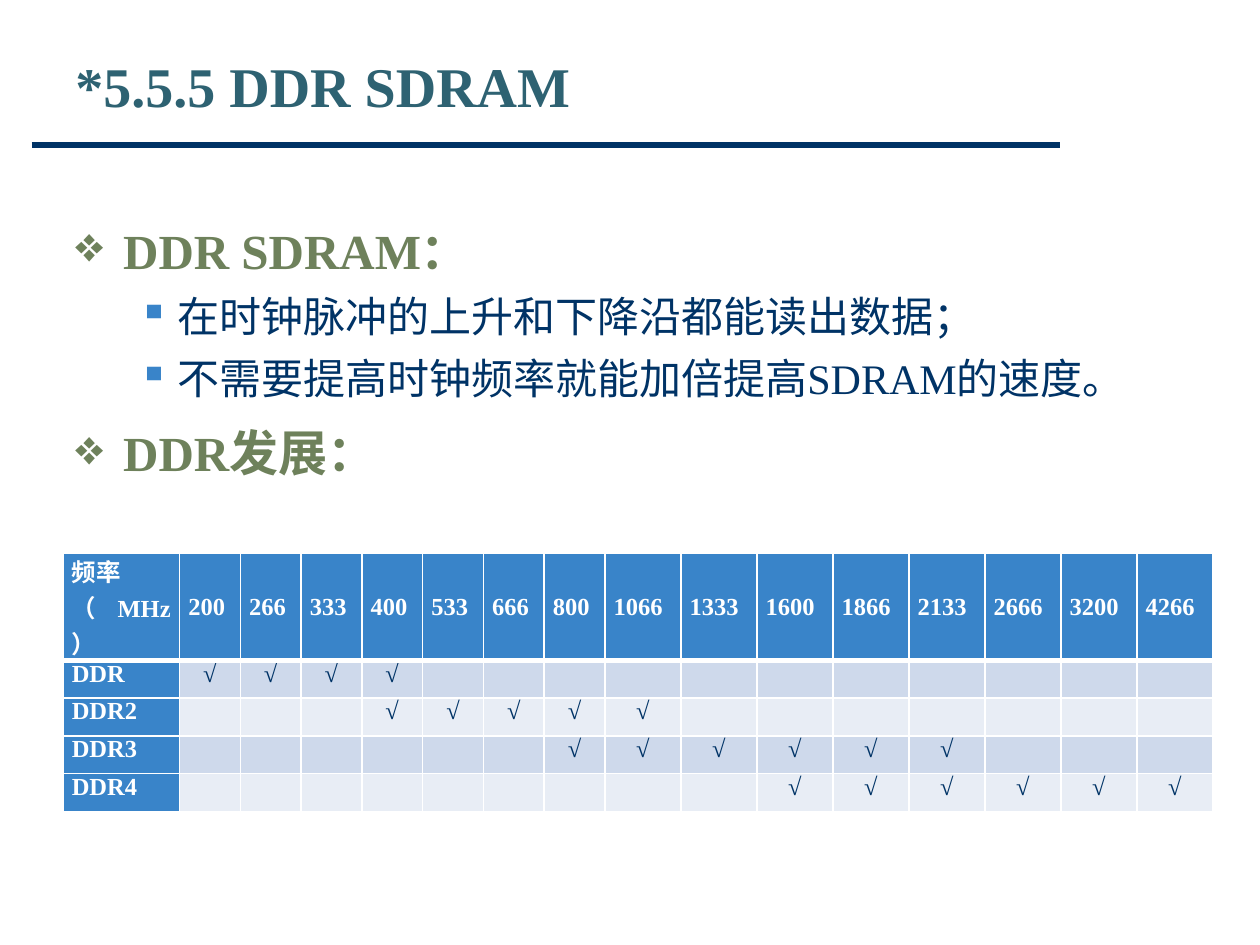
from lxml import etree
from pptx import Presentation
from pptx.dml.color import RGBColor
from pptx.enum.shapes import MSO_CONNECTOR
from pptx.enum.text import MSO_ANCHOR, PP_ALIGN
from pptx.oxml.ns import qn
from pptx.util import Inches, Pt

LEFT, CENTER, FULL = PP_ALIGN.LEFT, PP_ALIGN.CENTER, PP_ALIGN.JUSTIFY
TOP, MIDDLE = MSO_ANCHOR.TOP, MSO_ANCHOR.MIDDLE
STRAIGHT = MSO_CONNECTOR.STRAIGHT

# Content
TITLE = "*5.5.5 DDR SDRAM"
POINTS = [  # style, space before, text
    ("head", 0, "DDR SDRAM："),
    ("item", 9.6, "在时钟脉冲的上升和下降沿都能读出数据；"),
    ("item", 9.6, "不需要提高时钟频率就能加倍提高SDRAM的速度。"),
    ("head", 14.4, "DDR发展："),
]
CORNER = ["频率", "（MHz）"]
RATES = [200, 266, 333, 400, 533, 666, 800, 1066,
         1333, 1600, 1866, 2133, 2666, 3200, 4266]
TYPES = {  # lowest and highest rate
    "DDR": (200, 400),
    "DDR2": (400, 1066),
    "DDR3": (800, 2133),
    "DDR4": (1600, 4266),
}

THEME = {
    "font": "Times New Roman",
    "title": {"size": 32, "color": "2E6272", "bold": True},
    "head": {"size": 28, "color": "6E815B", "bold": True},
    "item": {"size": 24, "color": "003366"},
    "label": {"size": 14, "color": "FFFFFF", "bold": True, "align": FULL},
    "tick": {"size": 14, "color": "003366", "align": CENTER},
    "rule": "003366",
    "blue": "3984C9",
    "bands": ["CED9EB", "E8EDF5"],
    "grid": "FFFFFF",
}
BULLETS = {  # sign, colour, text indent, hang
    "head": ("❖", "6E815B", 0.38, 0.38),
    "item": ("▪", "3984C9", 0.81, 0.31),
}


def rgb(code):
    return RGBColor.from_string(code)


def add_text(frame, text, size=14, color="003366", bold=False, align=LEFT,
             before=0, line=1.0):
    """Fill the first empty paragraph, or append a new one."""
    para = frame.paragraphs[-1]
    if para.runs:
        para = frame.add_paragraph()
    para.alignment = align
    para.space_before = Pt(before)
    para.line_spacing = line
    run = para.add_run()
    run.text = text
    font = run.font
    font.name, font.size, font.bold = THEME["font"], Pt(size), bold
    font.color.rgb = rgb(color)
    return para


def add_box(slide, left, top, wide, high, inset=0.05):
    frame = slide.shapes.add_textbox(
        Inches(left), Inches(top), Inches(wide), Inches(high)).text_frame
    frame.word_wrap = True
    frame.margin_top = Inches(inset)
    return frame


def add_color(node, code):
    etree.SubElement(node, qn("a:srgbClr"), val=code)


def add_bullet(para, sign, color, indent, hang):
    props = para._p.get_or_add_pPr()
    props.set("marL", str(Inches(indent)))
    props.set("indent", str(-Inches(hang)))
    add_color(etree.SubElement(props, qn("a:buClr")), color)
    etree.SubElement(props, qn("a:buChar"), char=sign)


def style_cell(cell, fill, top=1, bottom=1, anchor=TOP):
    cell.margin_left = cell.margin_right = Inches(0.07)
    cell.margin_top = cell.margin_bottom = 0
    cell.vertical_anchor = anchor
    props = cell._tc.get_or_add_tcPr()
    for side, width in (("L", 1), ("R", 1), ("T", top), ("B", bottom)):
        edge = etree.SubElement(props, qn("a:ln" + side), w=str(Pt(width)))
        add_color(etree.SubElement(edge, qn("a:solidFill")), THEME["grid"])
    cell.fill.solid()
    cell.fill.fore_color.rgb = rgb(fill)


def add_rule(slide):
    rule = slide.shapes.add_connector(
        STRAIGHT, Inches(0.25), Inches(1.15), Inches(8.41), Inches(1.15))
    rule.line.color.rgb = rgb(THEME["rule"])
    rule.line.width = Pt(3)
    etree.SubElement(rule._element.spPr, qn("a:effectLst"))


def add_grid(slide):
    wide, high = 9.13, 0.3
    table = slide.shapes.add_table(
        len(TYPES) + 1, len(RATES) + 1, Inches(0.5), Inches(4.39),
        Inches(wide), Inches(0.85 + high * len(TYPES))).table

    # Columns: three-digit rates are narrower than four-digit ones
    parts = [0.92] + [0.48 if rate < 1000 else 0.6 for rate in RATES]
    for col, part in zip(table.columns, parts):
        col.width = Inches(wide * part / sum(parts))
    for num, row in enumerate(table.rows):
        row.height = Inches(high if num else 0.85)

    # Header row
    for col, label in enumerate([CORNER] + [[str(rate)] for rate in RATES]):
        cell = table.cell(0, col)
        style_cell(cell, THEME["blue"], bottom=3,
                   anchor=MIDDLE if col else TOP)
        for text in label:
            add_text(cell.text_frame, text, **THEME["label"])

    # One row for each memory type
    for row, (name, (low, top)) in enumerate(TYPES.items(), 1):
        edge = 3 if row == 1 else 1
        cell = table.cell(row, 0)
        style_cell(cell, THEME["blue"], top=edge)
        add_text(cell.text_frame, name, **THEME["label"])
        for col, rate in enumerate(RATES, 1):
            cell = table.cell(row, col)
            style_cell(cell, THEME["bands"][(row - 1) % 2], top=edge)
            if low <= rate <= top:
                add_text(cell.text_frame, "√", **THEME["tick"])
            else:
                para = cell.text_frame.paragraphs[0]._p
                para.get_or_add_endParaRPr().set("sz", "1400")


def main():
    deck = Presentation()
    deck.slide_width, deck.slide_height = Inches(10), Inches(7.5)
    slide = deck.slides.add_slide(deck.slide_layouts[6])

    # Title and rule
    add_rule(slide)
    add_text(add_box(slide, 0.5, 0.3, 9, 1.25, inset=0.11), TITLE,
             **THEME["title"])

    # Bulleted points
    body = add_box(slide, 0.5, 1.75, 9, 2.54)
    for kind, before, text in POINTS:
        para = add_text(body, text, before=before, line=0.9, **THEME[kind])
        add_bullet(para, *BULLETS[kind])

    # Table of rates
    add_grid(slide)
    deck.save("out.pptx")


if __name__ == "__main__":
    main()
